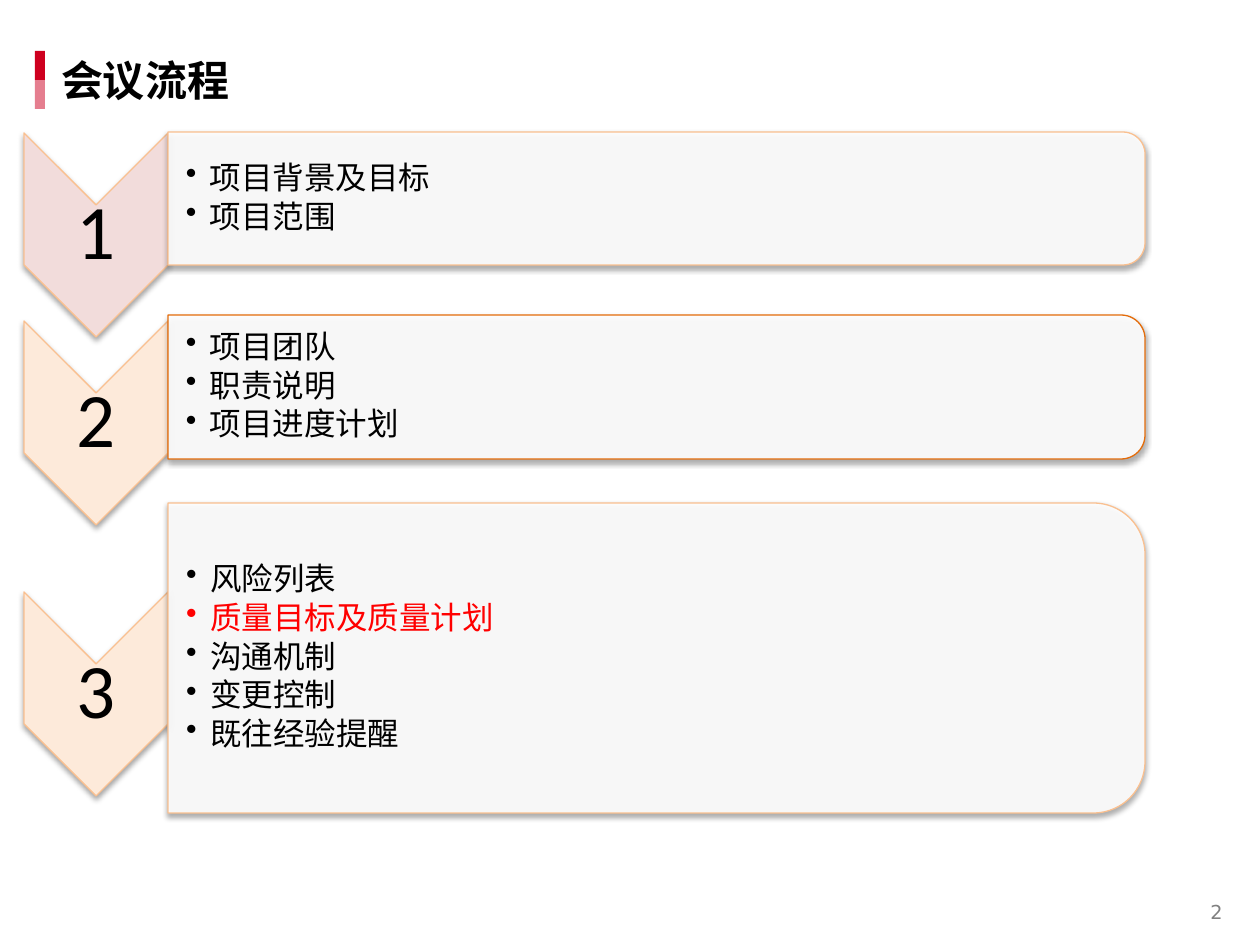
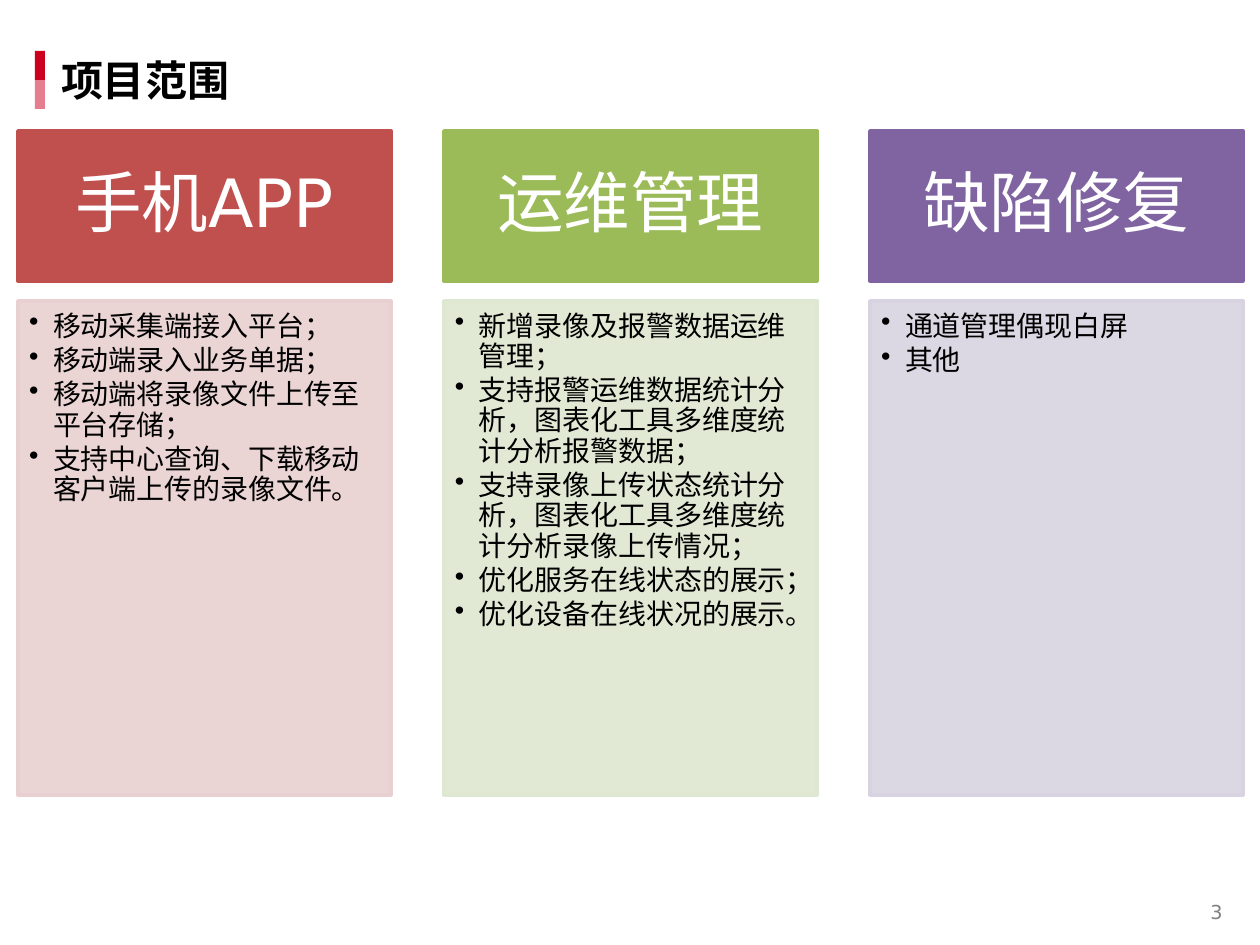
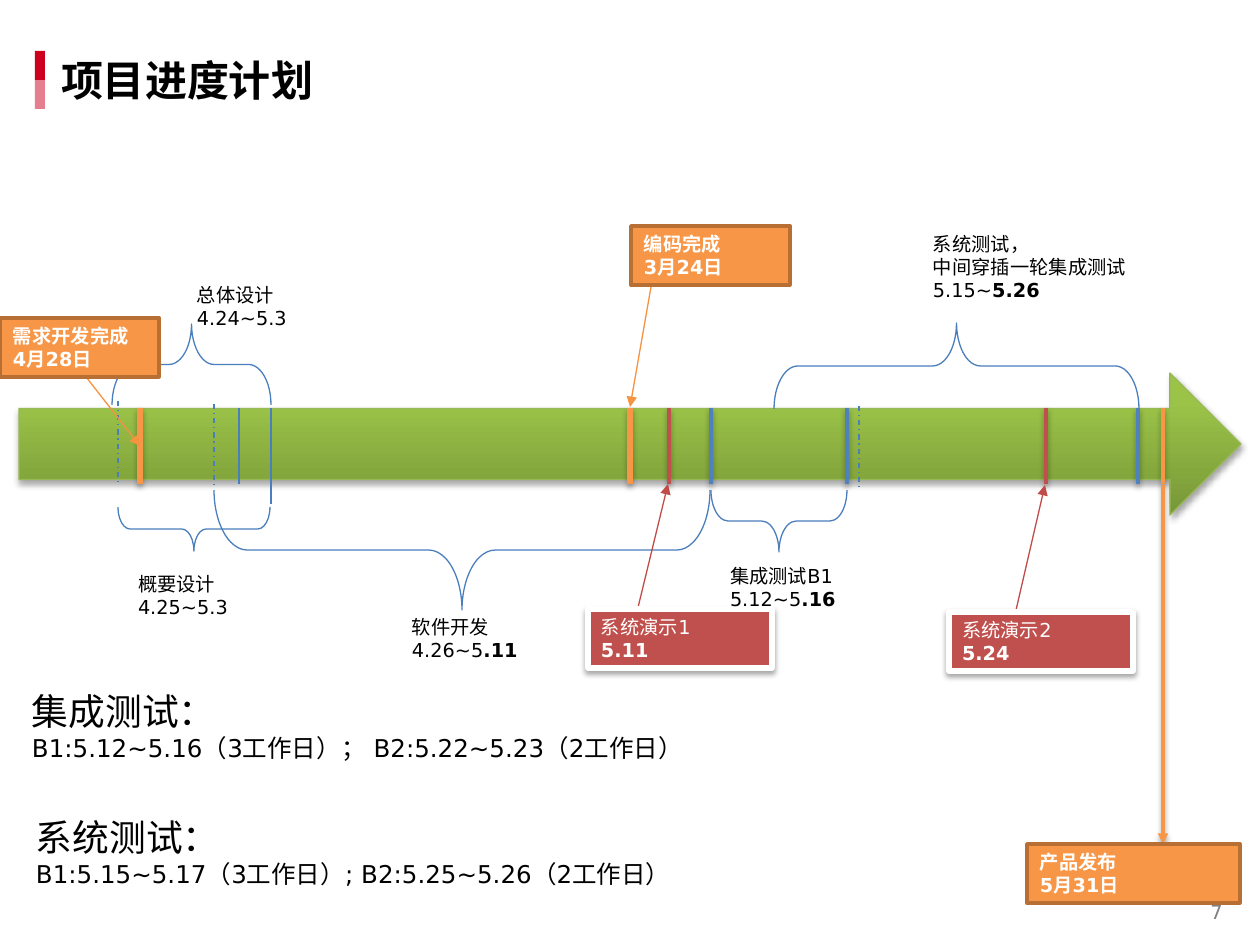
"""Build three project kick-off slides: agenda, scope and schedule."""
import dataclasses
import typing

import pptx
import pptx.dml.color
import pptx.enum.dml
import pptx.enum.shapes
import pptx.enum.text
import pptx.oxml.ns
import pptx.shapes.autoshape
import pptx.shapes.base
import pptx.shapes.connector
import pptx.slide
import pptx.text.text
import pptx.util
from lxml import etree

SHAPE = pptx.enum.shapes.MSO_SHAPE
ALIGN = pptx.enum.text.PP_ALIGN
ANCHOR = pptx.enum.text.MSO_ANCHOR
EMU_PER_PIXEL = 914400 / 126


@dataclasses.dataclass(frozen=True)
class Theme:
    black: str = "000000"
    white: str = "FFFFFF"
    grey: str = "808080"
    band_dark: str = "CE001F"
    band_light: str = "E57E8F"
    alert: str = "FF0000"
    rose: str = "F2DCDB"
    cream: str = "FDEADA"
    peach: str = "FAC090"
    rust: str = "E46C0A"
    red: str = "C0504D"
    red_line: str = "BF4C48"
    red_pale: str = "E8D0D0"
    green: str = "9BBB59"
    green_pale: str = "DEE7D1"
    purple: str = "8064A2"
    purple_pale: str = "D8D3E0"
    orange: str = "F79646"
    orange_line: str = "F69240"
    orange_dark: str = "B76F34"
    blue: str = "4F81BD"
    blue_line: str = "4B7EBC"
    arrow_low: str = "779737"
    arrow_high: str = "9BC348"
    arrow_edge: str = "98B955"
    title_face: str = "Noto Sans CJK SC"
    body_face: str = "DejaVu Sans"
    agenda_face: str = "Calibri"
    small: int = 11
    note: int = 14
    scope: int = 16
    agenda: int = 18
    note_head: int = 21
    title: int = 24
    scope_head: int = 38
    number: int = 44
    thin: float = 0.75
    medium: float = 2
    thick: float = 3


THEME = Theme()


class Box(typing.NamedTuple):
    left: int
    top: int
    width: int
    height: int


class Span(typing.NamedTuple):
    text: str
    bold: bool = False
    color: str | None = None
    size: int | None = None


Lines = typing.Sequence[typing.Sequence[Span]]


class Step(typing.NamedTuple):
    number: str
    fill: str
    edge: str
    chevron_top: int
    panel_top: int
    panel_height: int
    items: Lines


class Column(typing.NamedTuple):
    heading: str
    color: str
    pale: str
    items: Lines


class Brace(typing.NamedTuple):
    box: Box
    rotation: int


class Stroke(typing.NamedTuple):
    start: tuple[int, int]
    end: tuple[int, int]
    color: str
    width: float = THEME.thin
    dashed: bool = False
    arrow: bool = False
    shadow: bool = False


class Card(typing.NamedTuple):
    box: Box
    lines: Lines
    fill: str = THEME.orange
    edge: str = THEME.orange_dark
    edge_width: float = THEME.medium
    shadow: bool = False


class Label(typing.NamedTuple):
    box: Box
    lines: Lines


def px(length: float) -> int:
    return round(length * EMU_PER_PIXEL)


def rgb(code: str) -> pptx.dml.color.RGBColor:
    return pptx.dml.color.RGBColor.from_string(code)


def add_node(parent: etree._Element, tag: str, **attributes: object) -> etree._Element:
    texts = {name: str(value) for name, value in attributes.items()}
    return etree.SubElement(parent, pptx.oxml.ns.qn(tag), texts)


def plain(*texts: str) -> Lines:
    return [[Span(text)] for text in texts]


def bold(*texts: str) -> Lines:
    return [[Span(text, bold=True)] for text in texts]


def write_text(para: pptx.text.text._Paragraph, text: str, *, size: int, face: str,
               color: str, bold: bool = False) -> None:
    run = para.add_run()
    run.text = text
    run.font.size = pptx.util.Pt(size)
    run.font.name = face
    run.font.bold = bold
    run.font.color.rgb = rgb(color)
    add_node(run.font._element, "a:ea", typeface=face)


def fill_frame(frame: pptx.text.text.TextFrame, lines: Lines, *, size: int = THEME.small,
               face: str = THEME.body_face, color: str = THEME.black,
               align: ALIGN = ALIGN.LEFT, anchor: ANCHOR = ANCHOR.TOP,
               insets: tuple[int, int, int, int] = (13, 6, 13, 6),
               spacing: float | None = None, bullets: bool = False) -> None:
    frame.word_wrap = True
    frame.auto_size = pptx.enum.text.MSO_AUTO_SIZE.NONE
    frame.vertical_anchor = anchor
    frame.margin_left, frame.margin_top, frame.margin_right, frame.margin_bottom = map(px, insets)
    for index, spans in enumerate(lines):
        para = frame.add_paragraph() if index else frame.paragraphs[0]
        para.alignment = align
        if spacing:
            para.line_spacing = spacing
        if bullets:
            para.space_after = pptx.util.Pt(size * 0.15)
            properties = para._p.get_or_add_pPr()
            properties.set("marL", str(px(24)))
            properties.set("indent", str(px(-24)))
            add_node(properties, "a:buChar", char="•")
        for span in spans:
            write_text(para, span.text, size=span.size or size, face=face,
                       color=span.color or color, bold=span.bold)


def set_shadow(shape: pptx.shapes.base.BaseShape, shown: bool) -> None:
    effects = add_node(shape.element.spPr, "a:effectLst")
    if shown:
        outer = add_node(effects, "a:outerShdw", blurRad=40000, dist=23000,
                         dir=5400000, rotWithShape=0)
        add_node(add_node(outer, "a:srgbClr", val=THEME.black), "a:alpha", val=35000)


def add_shape(page: pptx.slide.Slide, kind: SHAPE, box: Box, *, fill: str | None = None,
              edge: str | None = None, edge_width: float = THEME.thin, alpha: int = 100,
              rotation: int = 0, shadow: bool = False) -> pptx.shapes.autoshape.Shape:
    left, top, width, height = box
    if rotation % 180:
        left, top = left + (width - height) / 2, top + (height - width) / 2
        width, height = height, width
    shape = page.shapes.add_shape(kind, px(left), px(top), px(width), px(height))
    shape.rotation = rotation
    if fill:
        shape.fill.solid()
        shape.fill.fore_color.rgb = rgb(fill)
        if alpha < 100:
            solid = shape.element.spPr.find(pptx.oxml.ns.qn("a:solidFill"))
            add_node(solid[0], "a:alpha", val=alpha * 1000)
    else:
        shape.fill.background()
    if edge:
        shape.line.color.rgb = rgb(edge)
        shape.line.width = pptx.util.Pt(edge_width)
    else:
        shape.line.fill.background()
    set_shadow(shape, shadow)
    return shape


def add_text(page: pptx.slide.Slide, box: Box, lines: Lines, **style: typing.Any) -> None:
    fill_frame(page.shapes.add_textbox(*map(px, box)).text_frame, lines, **style)


def add_stroke(page: pptx.slide.Slide, stroke: Stroke) -> None:
    line = page.shapes.add_connector(pptx.enum.shapes.MSO_CONNECTOR.STRAIGHT,
                                     *map(px, stroke.start + stroke.end))
    line.line.color.rgb = rgb(stroke.color)
    line.line.width = pptx.util.Pt(stroke.width)
    if stroke.dashed:
        line.line.dash_style = pptx.enum.dml.MSO_LINE.DASH_DOT
    if stroke.arrow:
        add_node(line.element.spPr.find(pptx.oxml.ns.qn("a:ln")), "a:tailEnd", type="triangle")
    set_shadow(line, stroke.shadow)


def add_page(deck: pptx.presentation.Presentation, title: str, number: str) -> pptx.slide.Slide:
    page = deck.slides.add_slide(deck.slide_layouts[5])
    for index, color in enumerate((THEME.band_dark, THEME.band_light)):
        add_shape(page, SHAPE.RECTANGLE, Box(35, 51 + 29 * index, 10, 29), fill=color)
    add_text(page, Box(1176, 887, 81, 49), plain(number), color=THEME.grey,
             align=ALIGN.CENTER, anchor=ANCHOR.MIDDLE)
    heading = page.shapes.title
    heading.left, heading.top, heading.width, heading.height = map(px, Box(45, 50, 586, 60))
    fill_frame(heading.text_frame, bold(title), size=THEME.title, face=THEME.title_face,
               anchor=ANCHOR.MIDDLE, insets=(16, 9, 16, 9))
    return page


def add_step(page: pptx.slide.Slide, step: Step) -> None:
    chevron = Box(24, step.chevron_top, 144, 204)
    add_shape(page, SHAPE.CHEVRON, chevron, fill=step.fill, edge=THEME.peach,
              rotation=90, shadow=True)
    add_text(page, Box(24, step.chevron_top + 71, 144, 62), plain(step.number),
             size=THEME.number, face=THEME.agenda_face, align=ALIGN.CENTER,
             anchor=ANCHOR.MIDDLE, insets=(4, 4, 4, 4), spacing=0.9)
    panel = Box(168, step.panel_top, 977, step.panel_height)
    add_shape(page, SHAPE.ROUND_2_SAME_RECTANGLE, panel, fill=THEME.white, edge=step.edge,
              alpha=90, rotation=90, shadow=True)
    corner = round(panel.height * 0.05)
    inner = Box(panel.left, panel.top + corner, panel.width - corner, panel.height - 2 * corner)
    add_text(page, inner, step.items, size=THEME.agenda, face=THEME.agenda_face,
             anchor=ANCHOR.MIDDLE, insets=(18, 1, 1, 1), spacing=0.9, bullets=True)


def add_column(page: pptx.slide.Slide, index: int, column: Column) -> None:
    left = 18 + 426 * index
    head = add_shape(page, SHAPE.RECTANGLE, Box(left, 131, 373, 150), fill=column.color,
                     edge=column.color, edge_width=THEME.medium)
    fill_frame(head.text_frame, plain(column.heading), size=THEME.scope_head,
               color=THEME.white, align=ALIGN.CENTER, anchor=ANCHOR.MIDDLE,
               insets=(38, 21, 38, 21), spacing=0.9)
    body = add_shape(page, SHAPE.RECTANGLE, Box(left, 301, 373, 494), fill=column.pale,
                     edge=column.pale, edge_width=THEME.medium, alpha=90)
    fill_frame(body.text_frame, column.items, size=THEME.scope, insets=(11, 11, 15, 18),
               spacing=0.9, bullets=True)


def add_timeline(page: pptx.slide.Slide) -> None:
    arrow = add_shape(page, SHAPE.RIGHT_ARROW, Box(19, 373, 1222, 142),
                      edge=THEME.arrow_edge, shadow=True)
    arrow.fill.gradient()
    arrow.fill.gradient_angle = 90
    low, high = arrow.fill.gradient_stops
    low.color.rgb, low.position = rgb(THEME.arrow_low), 0
    high.color.rgb, high.position = rgb(THEME.arrow_high), 0.8


def add_brace(page: pptx.slide.Slide, brace: Brace) -> None:
    shape = add_shape(page, SHAPE.LEFT_BRACE, brace.box, edge=THEME.blue_line,
                      rotation=brace.rotation)
    shape.adjustments[0] = 0.277


def add_card(page: pptx.slide.Slide, card: Card) -> None:
    shape = add_shape(page, SHAPE.RECTANGLE, card.box, fill=card.fill, edge=card.edge,
                      edge_width=card.edge_width, shadow=card.shadow)
    fill_frame(shape.text_frame, card.lines, color=THEME.white)


def milestone(x: int, color: str, width: float = THEME.medium) -> Stroke:
    return Stroke((x, 408), (x, 484), color, width, shadow=True)


def boundary(x: int, top: int, bottom: int, dashed: bool = False) -> Stroke:
    return Stroke((x, top), (x, bottom), THEME.blue_line, dashed=dashed)


def pointer(start: tuple[int, int], end: tuple[int, int], color: str) -> Stroke:
    return Stroke(start, end, color, arrow=True)


def demo(box: Box, name: str, date: str) -> Card:
    return Card(box, [[Span(name)], [Span(date, bold=True)]], THEME.red, THEME.white,
                THEME.thick, True)


def note(heading: str, dates: str) -> Lines:
    return [[Span(heading, size=THEME.note_head)], [Span(dates, size=THEME.note)]]


STEPS = (
    Step("1", THEME.rose, THEME.peach, 133, 132, 133, plain("项目背景及目标", "项目范围")),
    Step("2", THEME.cream, THEME.rust, 321, 315, 144,
         plain("项目团队", "职责说明", "项目进度计划")),
    Step("3", THEME.cream, THEME.peach, 592, 503, 310,
         [[Span("风险列表")], [Span("质量目标及质量计划", color=THEME.alert)],
          *plain("沟通机制", "变更控制", "既往经验提醒")]),
)

COLUMNS = (
    Column("手机APP", THEME.red, THEME.red_pale, plain(
        "移动采集端接入平台；", "移动端录入业务单据；", "移动端将录像文件上传至平台存储；",
        "支持中心查询、下载移动客户端上传的录像文件。")),
    Column("运维管理", THEME.green, THEME.green_pale, plain(
        "新增录像及报警数据运维管理；",
        "支持报警运维数据统计分析，图表化工具多维度统计分析报警数据；",
        "支持录像上传状态统计分析，图表化工具多维度统计分析录像上传情况；",
        "优化服务在线状态的展示；", "优化设备在线状况的展示。")),
    Column("缺陷修复", THEME.purple, THEME.purple_pale, plain("通道管理偶现白屏", "其他")),
)

BRACES = (
    Brace(Box(112, 324, 159, 81), 90),
    Brace(Box(118, 507, 152, 44), 270),
    Brace(Box(214, 490, 496, 120), 270),
    Brace(Box(711, 490, 136, 62), 270),
    Brace(Box(774, 323, 365, 86), 90),
)

STROKES = (
    boundary(239, 408, 484),
    boundary(271, 408, 504),
    boundary(118, 401, 481, dashed=True),
    boundary(214, 404, 485, dashed=True),
    boundary(859, 406, 488, dashed=True),
    milestone(140, THEME.orange, THEME.thick),
    milestone(630, THEME.orange, THEME.thick),
    milestone(669, THEME.red),
    milestone(711, THEME.blue),
    milestone(847, THEME.blue),
    milestone(1046, THEME.red),
    milestone(1138, THEME.blue),
    milestone(1163, THEME.orange),
    pointer((83, 373), (140, 446), THEME.orange_line),
    pointer((651, 287), (630, 407), THEME.orange_line),
    pointer((636, 616), (668, 484), THEME.red_line),
    pointer((1014, 619), (1045, 485), THEME.red_line),
    Stroke((1163, 485), (1163, 844), THEME.orange, THEME.medium, arrow=True, shadow=True),
)

CARDS = (
    Card(Box(0, 318, 159, 59), bold("需求开发完成", "4月28日")),
    Card(Box(631, 226, 159, 59), bold("编码完成", "3月24日")),
    Card(Box(1027, 844, 213, 59), bold("产品发布", "5月31日")),
    demo(Box(588, 609, 184, 59), "系统演示1", "5.11"),
    demo(Box(949, 612, 184, 59), "系统演示2", "5.24"),
)

LABELS = (
    Label(Box(184, 277, 159, 59), plain("总体设计", "4.24~5.3")),
    Label(Box(125, 566, 159, 59), plain("概要设计", "4.25~5.3")),
    Label(Box(399, 609, 159, 59),
          [[Span("软件开发")], [Span("4.26~5"), Span(".11", bold=True)]]),
    Label(Box(717, 558, 159, 59),
          [[Span("集成测试B1")], [Span("5.12~5"), Span(".16", bold=True)]]),
    Label(Box(920, 226, 231, 83),
          [*plain("系统测试，", "中间穿插一轮集成测试"),
           [Span("5.15~"), Span("5.26", bold=True)]]),
    Label(Box(19, 683, 1026, 87),
          note("集成测试：", "B1:5.12~5.16（3工作日）； B2:5.22~5.23（2工作日）")),
    Label(Box(23, 809, 980, 87),
          note("系统测试：", "B1:5.15~5.17（3工作日）; B2:5.25~5.26（2工作日）")),
)


def main() -> None:
    deck = pptx.Presentation()
    deck.slide_width, deck.slide_height = px(1260), px(945)

    agenda = add_page(deck, "会议流程", "2")
    for step in STEPS:
        add_step(agenda, step)

    scope = add_page(deck, "项目范围", "3")
    for index, column in enumerate(COLUMNS):
        add_column(scope, index, column)

    schedule = add_page(deck, "项目进度计划", "7")
    add_timeline(schedule)
    for brace in BRACES:
        add_brace(schedule, brace)
    for stroke in STROKES:
        add_stroke(schedule, stroke)
    for card in CARDS:
        add_card(schedule, card)
    for label in LABELS:
        add_text(schedule, label.box, label.lines)

    deck.save("out.pptx")


main()
